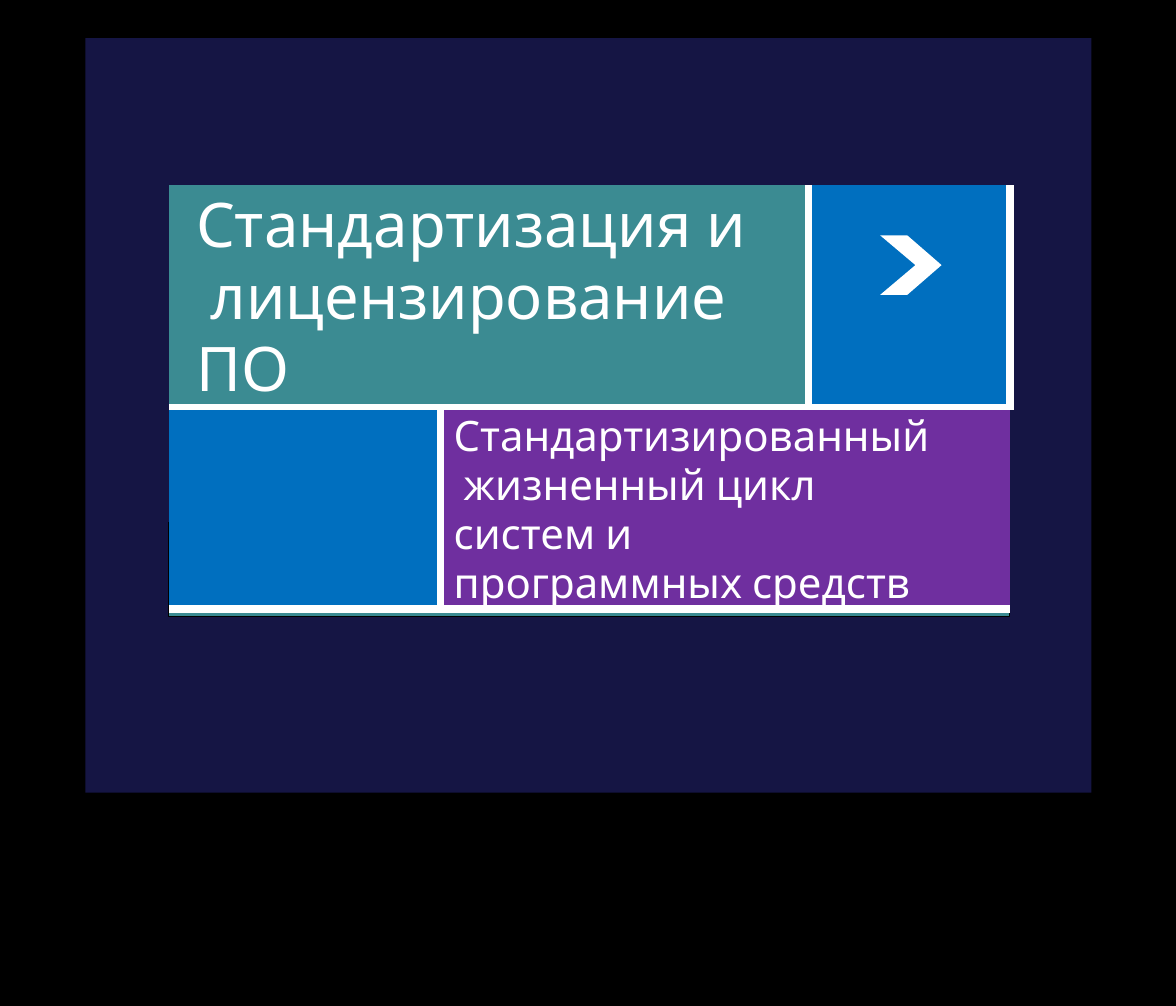
from lxml import etree
from pptx import Presentation
from pptx.dml.color import RGBColor
from pptx.enum import shapes, text
from pptx.oxml import ns
from pptx.util import Inches, Pt

INK = {"black": "000000", "navy": "151544", "teal": "3B8B92",
       "blue": "006FBF", "plum": "6F2F9F", "white": "FFFFFF"}
FONT = "Karla"
NO_GRID = "{2D5ABB26-0587-4C30-8999-92F81FD0307C}"
THIN, THICK = 4.25, 6


def tint(fill, name):
    fill.solid()
    fill.fore_color.rgb = RGBColor.from_string(INK[name])


def panel(slide, box, name, edge=None):
    rect = slide.shapes.add_shape(shapes.MSO_SHAPE.RECTANGLE, *map(Inches, box))
    rect.shadow.inherit = False
    tint(rect.fill, name)
    if edge:
        tint(rect.line.fill, edge)
        rect.line.width = Pt(0.75)
    else:
        rect.line.fill.background()


def rule(cell, **sides):
    """Draw white borders; sides map L, R, T, B to a width in points."""
    props = cell._tc.get_or_add_tcPr()
    at = 0
    for side in "LRTB":
        if side in sides:
            line = etree.Element(ns.qn("a:ln" + side), w=str(Pt(sides[side])))
            fill = etree.SubElement(line, ns.qn("a:solidFill"))
            etree.SubElement(fill, ns.qn("a:srgbClr"), val=INK["white"])
            props.insert(at, line)
            at += 1


def write(cell, words, size, left):
    cell.margin_left = Inches(left)
    cell.margin_top = Inches(0.06)
    cell.margin_right = cell.margin_bottom = 0
    cell.vertical_anchor = text.MSO_ANCHOR.TOP
    cell.text_frame.text = words
    for run in cell.text_frame.paragraphs[0].runs:
        run.font.name = FONT
        run.font.size = Pt(size)
        run.font.color.rgb = RGBColor.from_string(INK["white"])


def tiles(slide, box):
    """Title and topic tiles, held in a table with merged cells."""
    grid = slide.shapes.add_table(3, 3, *map(Inches, box)).table
    grid.first_row = grid.horz_banding = False
    grid._tbl.tblPr.find(ns.qn("a:tableStyleId")).text = NO_GRID
    for col, wide in zip(grid.columns, (2.7, 3.66, 2)):
        col.width = Inches(wide)
    for row, tall in zip(grid.rows, (1.64, 1.67, 0.98)):
        row.height = Inches(tall)

    # Merged spans
    for first, last in (((0, 0), (0, 1)), ((1, 1), (1, 2)), ((2, 0), (2, 2))):
        grid.cell(*first).merge(grid.cell(*last))

    # Fills and borders
    looks = {
        (0, 0): ("teal", dict(R=THICK, B=THIN)),
        (0, 1): ("teal", dict(R=THICK, B=THIN)),
        (0, 2): ("blue", dict(L=THICK, B=THIN)),
        (1, 0): ("blue", dict(R=THICK, T=THIN, B=THICK)),
        (1, 1): ("plum", dict(L=THICK, T=THIN, B=THICK)),
        (1, 2): ("plum", dict(T=THIN, B=THICK)),
    }
    for spot, (name, sides) in looks.items():
        tint(grid.cell(*spot).fill, name)
        rule(grid.cell(*spot), **sides)
    for col in range(3):
        grid.cell(2, col).fill.background()
        rule(grid.cell(2, col), T=THICK)

    # Wording
    write(grid.cell(0, 0), "Стандартизация и\v лицензирование ПО", 44, 0.27)
    write(grid.cell(1, 1), "Стандартизированный\v жизненный цикл\v"
          "систем и\vпрограммных средств", 30, 0.13)


def arrow(slide, box):
    left, top, wide, tall = box
    mid, low, right = top + tall / 2, top + tall, left + wide
    pts = [(left + 0.27, top), (right, mid), (left + 0.27, low),
           (left, low), (left + 0.35, mid)]
    pen = slide.shapes.build_freeform(Inches(left), Inches(top))
    pen.add_line_segments([(Inches(x), Inches(y)) for x, y in pts])
    mark = pen.convert_to_shape()
    mark.shadow.inherit = False
    tint(mark.fill, "white")
    mark.line.fill.background()


def main():
    deck = Presentation()
    deck.slide_width, deck.slide_height = Inches(11.69), Inches(10)
    slide = deck.slides.add_slide(deck.slide_layouts[6])
    tint(slide.background.fill, "black")

    # Backdrop and footer strip
    panel(slide, (0.85, 0.38, 10, 7.5), "navy")
    panel(slide, (1.68, 5.19, 8.36, 0.94), "teal", "black")

    # Tiles with the arrow on top
    tiles(slide, (1.68, 1.84, 8.36, 4.29))
    arrow(slide, (8.75, 2.34, 0.61, 0.59))
    deck.save("out.pptx")


if __name__ == "__main__":
    main()
